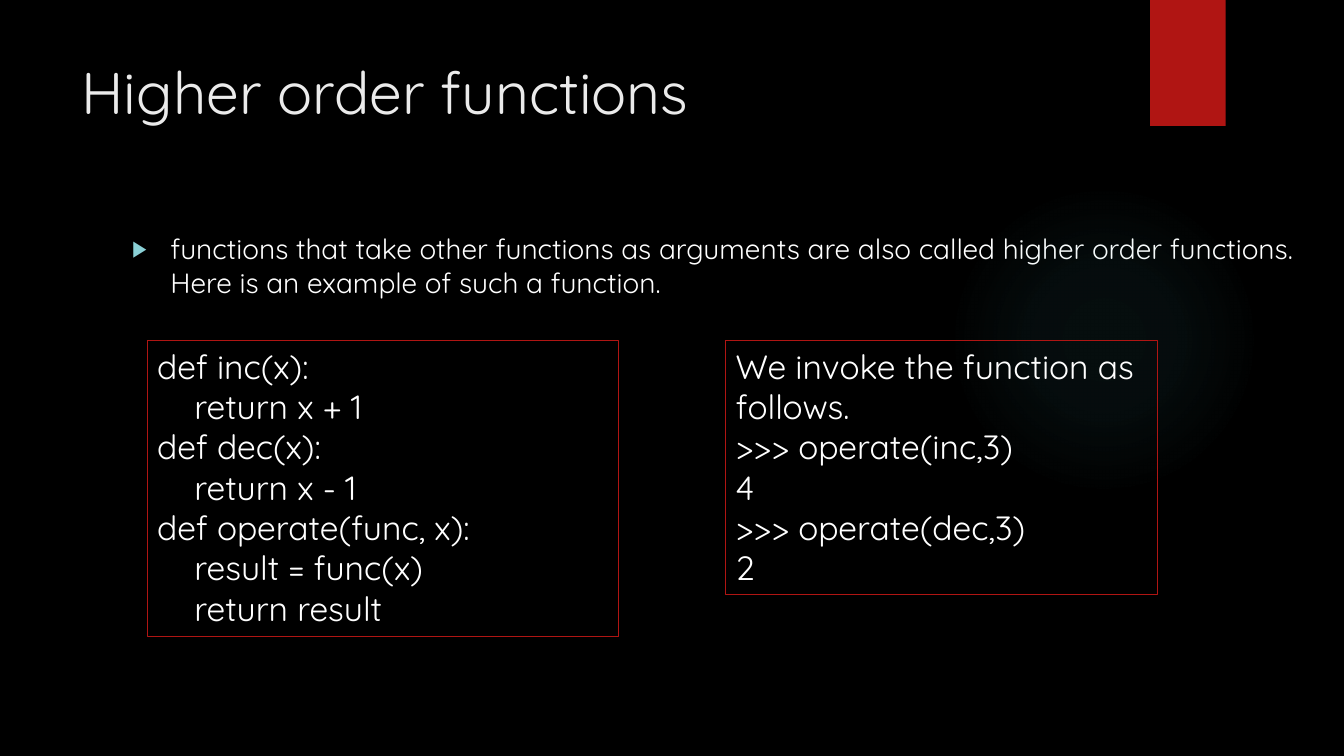
from lxml.etree import SubElement
from pptx import Presentation
from pptx.dml.color import RGBColor
from pptx.enum.shapes import MSO_SHAPE
from pptx.enum.text import MSO_ANCHOR, MSO_AUTO_SIZE, PP_ALIGN
from pptx.oxml import parse_xml
from pptx.oxml.ns import nsdecls, qn
from pptx.util import Inches, Pt

BLACK = RGBColor(0x00, 0x00, 0x00)
WHITE = RGBColor(0xFF, 0xFF, 0xFF)
OFF_WHITE = RGBColor(0xEB, 0xEB, 0xEB)
RED = RGBColor(0xB0, 0x15, 0x13)
TEAL = RGBColor(0x50, 0xB9, 0xC1)
PALE_TEAL = RGBColor(0x8A, 0xD0, 0xD6)

WIDTH, HEIGHT = Inches(13.333), Inches(7.5)
FONT = "Quicksand"
BOX_TOP = 45.07
CODE_INDENT = Inches(0.37)
BULLET_INDENT = Inches(0.38)

CODE = [
    (0, "def inc(x):"),
    (1, "return x + 1"),
    (0, "def dec(x):"),
    (1, "return x - 1"),
    (0, "def operate(func, x):"),
    (1, "result = func(x)"),
    (1, "return result"),
]
CALLS = [
    (0, "We invoke the function as follows."),
    (0, ">>> operate(inc,3)"),
    (0, "4"),
    (0, ">>> operate(dec,3)"),
    (0, "2"),
]


def area(x, y, w, h):
    """Turn percentages of the slide into left, top, width and height."""
    return [int(share * side / 100)
            for share, side in zip((x, y, w, h), (WIDTH, HEIGHT) * 2)]


def set_all(obj, values):
    for name, value in values.items():
        setattr(obj, name, value)


def write(p, text, size, color):
    p.alignment = PP_ALIGN.LEFT
    r = p.add_run()
    r.text = text
    set_all(r.font, {"name": FONT, "size": Pt(size)})
    r.font.color.rgb = color


def add_plain_shape(slide, kind, box):
    sp = slide.shapes.add_shape(kind, *area(*box))
    sp.shadow.inherit = False
    sp.fill.background()
    sp.line.fill.background()
    return sp


def add_glow(slide, box):
    sp = add_plain_shape(slide, MSO_SHAPE.OVAL, box)
    stops = "".join(
        f'<a:gs pos="{pos}000"><a:srgbClr val="{TEAL}">'
        f'<a:alpha val="{alpha}000"/></a:srgbClr></a:gs>'
        for pos, alpha in ((0, 7), (36, 6), (69, 0)))
    gradient = parse_xml(
        f'<a:gradFill {nsdecls("a")}><a:gsLst>{stops}</a:gsLst>'
        '<a:path path="circle"><a:fillToRect l="50000" t="50000" '
        'r="50000" b="50000"/></a:path></a:gradFill>')
    props = sp.fill._xPr
    props.replace(props.find(qn("a:noFill")), gradient)


def add_ribbon(slide, box):
    sp = add_plain_shape(slide, MSO_SHAPE.RECTANGLE, box)
    sp.fill.solid()
    sp.fill.fore_color.rgb = RED
    effects = sp.fill._xPr.find(qn("a:effectLst"))
    effects.append(parse_xml(
        f'<a:outerShdw {nsdecls("a")} blurRad="{Pt(3)}" dist="{Pt(2)}" '
        f'dir="5400000" rotWithShape="0"><a:srgbClr val="{BLACK}">'
        '<a:alpha val="45000"/></a:srgbClr></a:outerShdw>'))


def fill_placeholder(sp, box, text, size, color):
    set_all(sp, dict(zip(("left", "top", "width", "height"), area(*box))))
    tf = sp.text_frame
    set_all(tf, {"vertical_anchor": MSO_ANCHOR.TOP, "word_wrap": True,
                 "auto_size": MSO_AUTO_SIZE.NONE})
    p = tf.paragraphs[0]
    write(p, text, size, color)
    return p


def add_bullet(p):
    p.space_before = Pt(10)
    pPr = p._p.get_or_add_pPr()
    pPr.set("marL", str(BULLET_INDENT))
    pPr.set("indent", str(-BULLET_INDENT))
    SubElement(SubElement(pPr, qn("a:buClr")), qn("a:srgbClr"),
               val=str(PALE_TEAL))
    SubElement(pPr, qn("a:buSzPct"), val="80000")
    SubElement(pPr, qn("a:buChar"), char="▶")


def add_code_box(slide, box, lines):
    sp = add_plain_shape(slide, MSO_SHAPE.RECTANGLE, box)
    sp.line.color.rgb = RED
    sp.line.width = Pt(0.75)
    tf = sp.text_frame
    set_all(tf, {"word_wrap": True, "vertical_anchor": MSO_ANCHOR.TOP,
                 "auto_size": MSO_AUTO_SIZE.SHAPE_TO_FIT_TEXT})
    for i, (level, text) in enumerate(lines):
        p = tf.add_paragraph() if i else tf.paragraphs[0]
        write(p, text, 24, WHITE)
        p._p.get_or_add_pPr().set("marL", str(level * CODE_INDENT))


def main():
    prs = Presentation()
    set_all(prs, {"slide_width": WIDTH, "slide_height": HEIGHT})
    slide = prs.slides.add_slide(prs.slide_layouts[1])
    slide.background.fill.solid()
    slide.background.fill.fore_color.rgb = BLACK

    # Backdrop
    add_glow(slide, (70.58, 24.4, 23.1, 41.07))
    add_ribbon(slide, (85.58, 0, 5.62, 16.67))

    # Title and definition
    title, body = slide.placeholders
    fill_placeholder(title, (5.33, 6.67, 77.18, 20.4),
                     "Higher order functions", 42, OFF_WHITE)
    p = fill_placeholder(
        body, (9.08, 30, 89.85, 13.87),
        "functions that take other functions as arguments are also called "
        "higher order functions. Here is an example of such a function.",
        20, WHITE)
    add_bullet(p)

    # Definitions on the left, calls on the right
    add_code_box(slide, (10.95, BOX_TOP, 35.1, 39.07), CODE)
    add_code_box(slide, (54, BOX_TOP, 32.1, 33.6), CALLS)

    prs.save("out.pptx")


if __name__ == "__main__":
    main()
